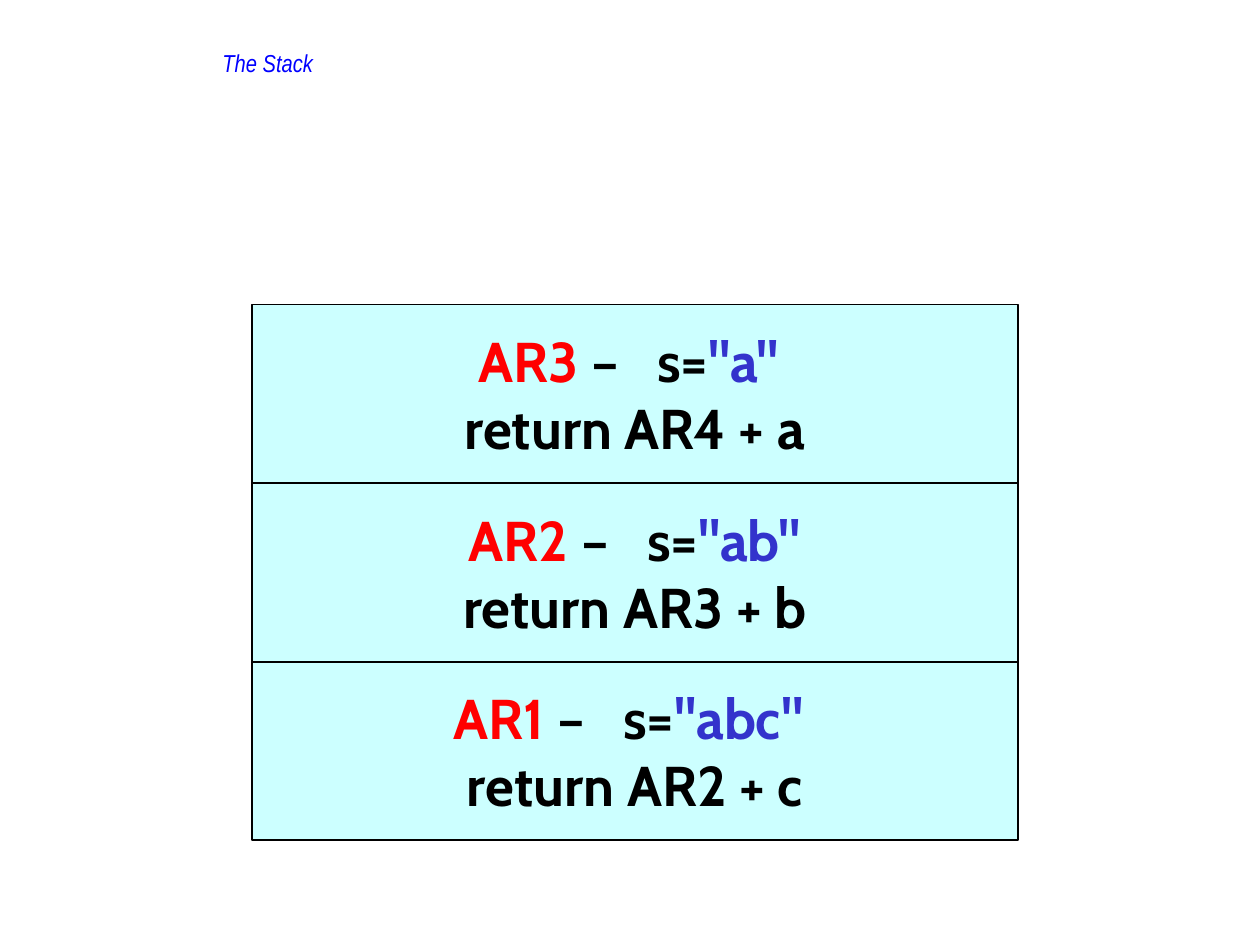
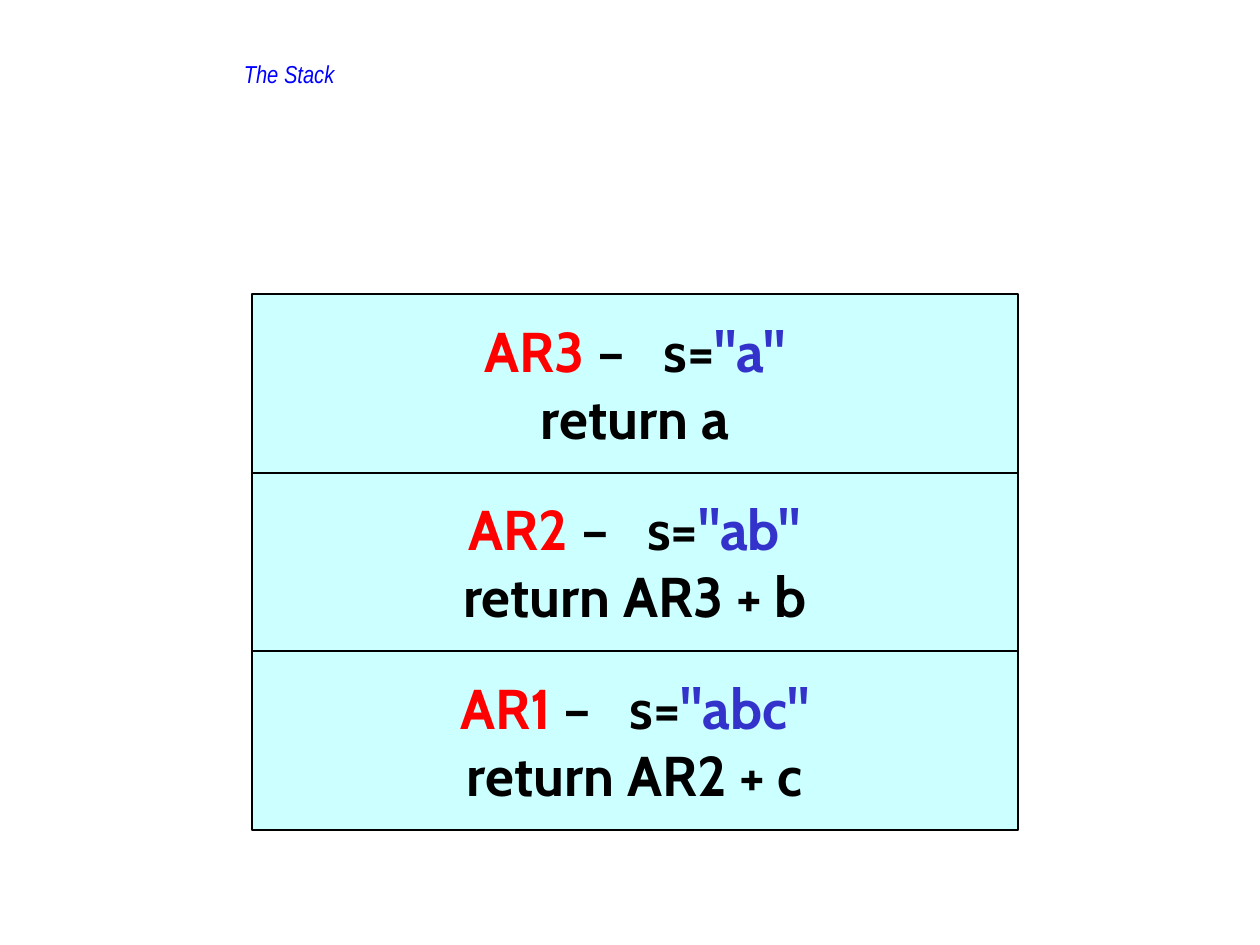
"""Build two slides that show a call stack of activation records."""
from pptx import Presentation
from pptx import util as u
from pptx.dml.color import RGBColor
from pptx.enum import shapes, text

TITLE_BLUE = "0000FF"
FRAME_FILL = "CCFFFF"
NAME_RED = "FF0000"
VALUE_BLUE = "3333CC"
BLACK = "000000"
FRAME_HEIGHT = 3.6
GAP = 14.5

SLIDES = [
    {
        "title_at": (4.23, 0.85),
        "stack_top": 6.14,
        "frames": [
            ("AR3", '"a" ', "return AR4 + a"),
            ("AR2", '"ab"', "return AR3 + b"),
            ("AR1", '"abc" ', "return AR2 + c"),
        ],
    },
    {
        "title_at": (4.66, 1.06),
        "stack_top": 5.93,
        "frames": [
            ("AR3", '"a"', "return a"),
            ("AR2", '"ab"', "return AR3 + b"),
            ("AR1", '"abc"', "return AR2 + c"),
        ],
    },
]


def colour(code):
    """Turn a hex string into a colour."""
    return RGBColor.from_string(code)


def add_text(para, words, size=32, font="Cabin", code=BLACK, bold=True, italic=False, spacing=0):
    """Add one formatted span to a paragraph."""
    span = para.add_run()
    span.text = words
    span.font.size = u.Pt(size)
    span.font.name = font
    span.font.bold = bold
    span.font.italic = italic
    span.font.color.rgb = colour(code)
    if spacing:
        span.font._element.set("spc", str(round(spacing * 100)))


def place_title(page, left, top):
    """Move and format the title placeholder."""
    title = page.shapes.title
    title.left, title.top = u.Cm(left), u.Cm(top)
    title.width, title.height = u.Cm(16.93), u.Cm(2.33)
    frame = title.text_frame
    frame.word_wrap = True
    frame.auto_size = text.MSO_AUTO_SIZE.NONE
    frame.vertical_anchor = text.MSO_ANCHOR.TOP
    para = frame.paragraphs[0]
    para.alignment = text.PP_ALIGN.LEFT
    add_text(para, "The Stack", size=14, font="Arial Narrow", code=TITLE_BLUE, bold=False, italic=True)


def add_record(page, left, top, width, height, record):
    """Draw one activation record with its argument and return line."""
    name, value, result = record
    box = page.shapes.add_shape(
        shapes.MSO_SHAPE.RECTANGLE, u.Cm(left), u.Cm(top), u.Cm(width), u.Cm(height)
    )
    box.shadow.inherit = False
    box.fill.solid()
    box.fill.fore_color.rgb = colour(FRAME_FILL)
    box.line.color.rgb = colour(BLACK)
    box.line.width = u.Pt(1)
    frame = box.text_frame
    frame.word_wrap = True
    frame.vertical_anchor = text.MSO_ANCHOR.MIDDLE
    call, answer = frame.paragraphs[0], frame.add_paragraph()
    call.alignment = answer.alignment = text.PP_ALIGN.CENTER
    add_text(call, name, code=NAME_RED)
    add_text(call, " –")
    add_text(call, " ", spacing=GAP)
    add_text(call, "s=")
    add_text(call, value, code=VALUE_BLUE)
    add_text(answer, result)


def add_stack(page, left, top, width, records):
    """Pile the records downwards from the top of the stack."""
    for row, record in enumerate(records):
        add_record(page, left, top + row * FRAME_HEIGHT, width, FRAME_HEIGHT, record)


def main():
    """Build and save the deck."""
    deck = Presentation()
    deck.slide_width, deck.slide_height = u.Cm(25.4), u.Cm(19.05)
    for content in SLIDES:
        page = deck.slides.add_slide(deck.slide_layouts.get_by_name("Title Only"))
        place_title(page, *content["title_at"])
        add_stack(page, 5.08, content["stack_top"], 15.44, content["frames"])
    deck.save("out.pptx")


if __name__ == "__main__":
    main()
